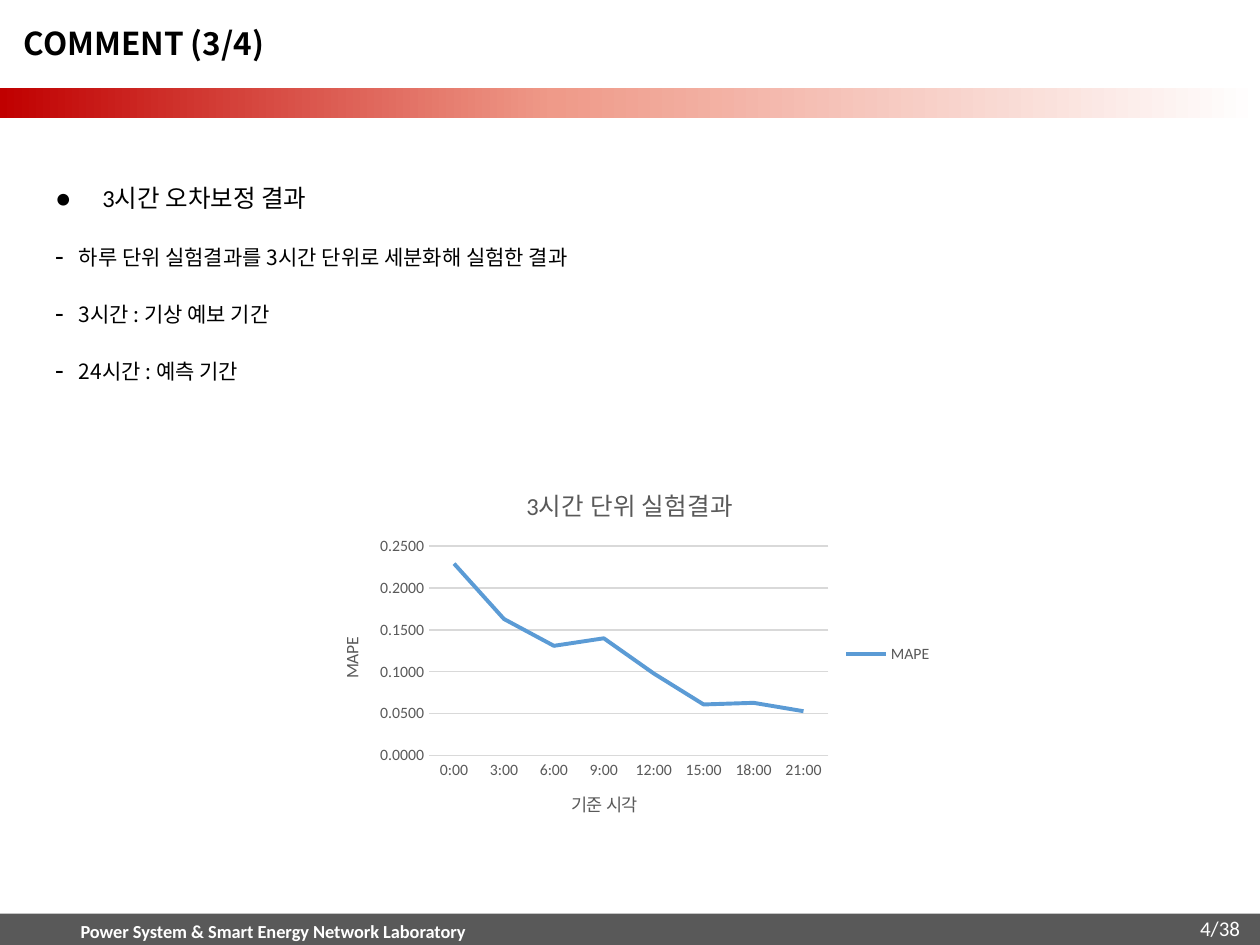
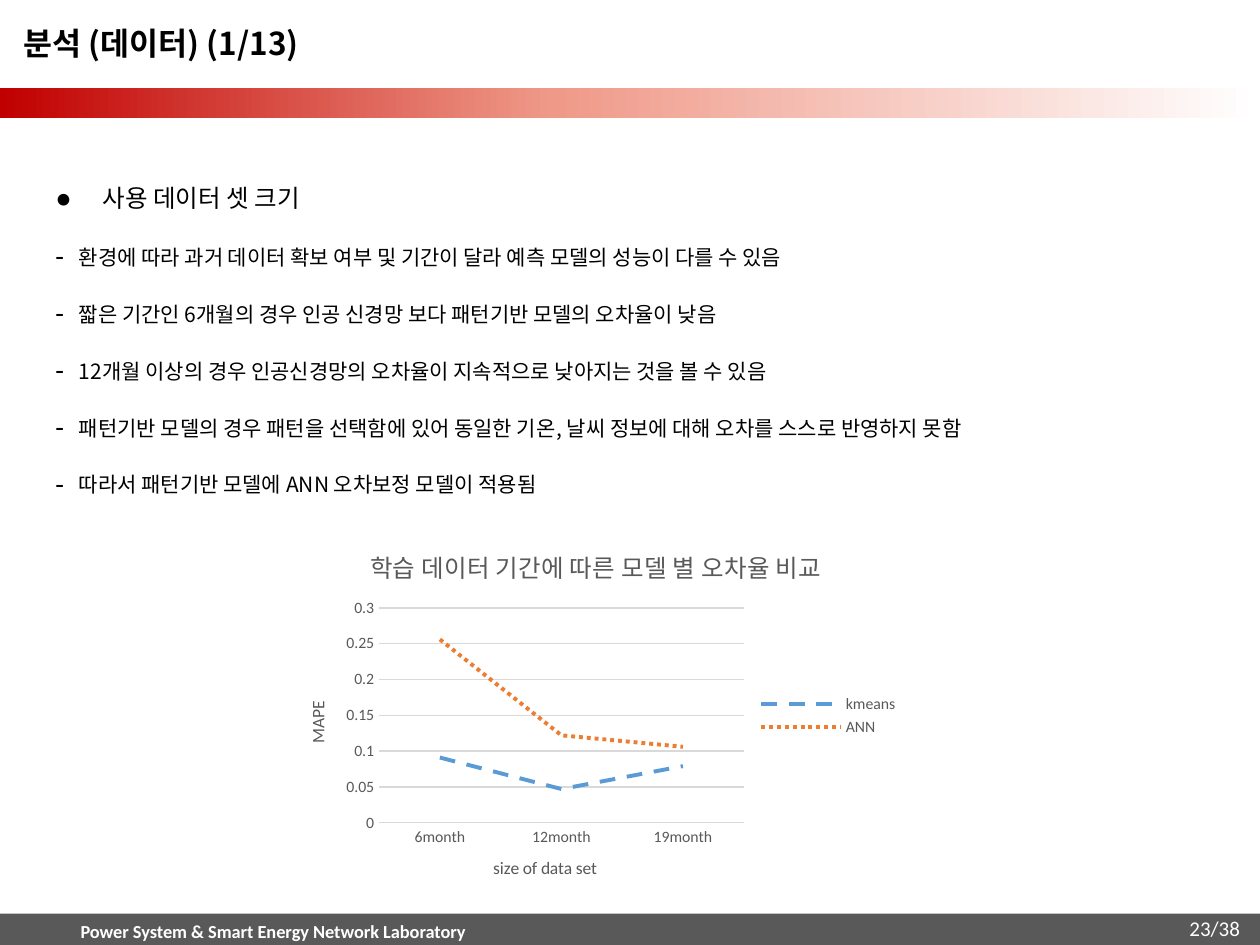
from pptx import Presentation
from pptx.chart.data import CategoryChartData
from pptx.dml.color import RGBColor
from pptx.enum.chart import XL_CHART_TYPE, XL_LEGEND_POSITION, XL_TICK_MARK
from pptx.enum.dml import MSO_LINE
from pptx.enum.shapes import MSO_SHAPE
from pptx.enum.text import MSO_ANCHOR, PP_ALIGN
from pptx.oxml import parse_xml
from pptx.oxml.ns import nsdecls, qn
from pptx.util import Pt

BLACK = RGBColor(0x00, 0x00, 0x00)
WHITE = RGBColor(0xFF, 0xFF, 0xFF)
GRAY = RGBColor(0x59, 0x59, 0x59)
GRID = RGBColor(0xD9, 0xD9, 0xD9)
RED = RGBColor(0xC0, 0x00, 0x00)
SALMON = RGBColor(0xEF, 0x9A, 0x89)
BLUE = RGBColor(0x5B, 0x9B, 0xD5)
ORANGE = RGBColor(0xED, 0x7D, 0x31)
LATIN = "Calibri"
KOREAN = "Noto Sans CJK KR"
LAB = "Power System & Smart Energy Network Laboratory"
PAGES = 38
TITLE_BOX = (8.6, 14.4, 342, 23)
BAND_BOX = (0, 50.4, 720, 16.8)
FOOTER_BOX = (0, 522, 720, 18)


def pts(*lengths):
    return [Pt(n) for n in lengths]


def style_font(font, size, color, name=LATIN, bold=False):
    font.size = Pt(size)
    font.color.rgb = color
    font.name = name
    font.bold = bold


def style_paragraph(p, size, color, name=LATIN, bold=False):
    for r in p.runs:
        style_font(r.font, size, color, name, bold)
        ea = r.font._element.makeelement(qn("a:ea"), {"typeface": KOREAN})
        r.font._element.find(qn("a:latin")).addnext(ea)


def set_frame(tf, anchor, dx, dy):
    tf.word_wrap = True
    tf.vertical_anchor = anchor
    tf.margin_left = tf.margin_right = Pt(dx)
    tf.margin_top = tf.margin_bottom = Pt(dy)


def add_rect(s, box):
    sp = s.shapes.add_shape(MSO_SHAPE.RECTANGLE, *pts(*box))
    sp.shadow.inherit = False
    sp.line.fill.background()
    return sp


def add_band(s, box):
    sp = add_rect(s, box)
    sp.fill.background()
    stops = "".join(
        f'<a:gs pos="{pos * 1000}"><a:srgbClr val="{color}"/></a:gs>'
        for pos, color in ((0, RED), (44, SALMON), (100, WHITE)))
    grad = parse_xml(f'<a:gradFill {nsdecls("a")} rotWithShape="1"><a:gsLst>{stops}'
                     '</a:gsLst><a:lin ang="0" scaled="0"/></a:gradFill>')
    spPr = sp._element.spPr
    spPr.replace(spPr.find(qn("a:noFill")), grad)


def add_footer(s, box, page):
    x, y, w, h = box
    bar = add_rect(s, box)
    bar.fill.solid()
    bar.fill.fore_color.rgb = GRAY
    labels = ((LAB, x - 5.8, 324, 10.5, True, PP_ALIGN.CENTER, 2, 1.6),
              (f"{page}/{PAGES}", x + w - 166.3, 162, 12, False, PP_ALIGN.RIGHT, 7.2, 0))
    for text, left, width, size, bold, align, inset, drop in labels:
        tf = s.shapes.add_textbox(*pts(left, y + drop, width, h - 1)).text_frame
        set_frame(tf, MSO_ANCHOR.MIDDLE, inset, 0)
        tf.text = text
        p = tf.paragraphs[0]
        p.alignment = align
        style_paragraph(p, size, WHITE, bold=bold)


def add_title(s, box, text):
    sp = s.shapes.title
    sp.left, sp.top, sp.width, sp.height = pts(*box)
    set_frame(sp.text_frame, MSO_ANCHOR.MIDDLE, 5, 3)
    sp.text_frame.text = text
    p = sp.text_frame.paragraphs[0]
    p.alignment = PP_ALIGN.LEFT
    p.line_spacing = 0.9
    style_paragraph(p, 18, BLACK, KOREAN, True)


def set_bullet(p, char, indent):
    pPr = p._p.get_or_add_pPr()
    pPr.set("marL", str(Pt(indent)))
    pPr.set("indent", str(-Pt(indent)))
    for tag, attr, value in (("buSzPct", "val", "135000"),
                             ("buFont", "typeface", LATIN),
                             ("buChar", "char", char)):
        pPr.append(pPr.makeelement(qn(f"a:{tag}"), {attr: value}))


def add_bullets(s, box, heading, items):
    tf = s.shapes.add_textbox(*pts(*box)).text_frame
    set_frame(tf, MSO_ANCHOR.TOP, 5, 3)
    tf.text = "\n".join([heading, *items])
    for i, p in enumerate(tf.paragraphs):
        p.space_before = Pt(18)
        p.line_spacing = Pt(14.5 if i else 17)
        set_bullet(p, "-" if i else "•", 13.5 if i else 27)
        style_paragraph(p, 12 if i else 14, BLACK, KOREAN if i else LATIN)


def set_chart_title(owner, text, size):
    tf = (owner.chart_title if hasattr(owner, "chart_title") else owner.axis_title).text_frame
    tf.text = text
    style_paragraph(tf.paragraphs[0], size, GRAY)


def add_line_chart(s, box, title, x_title, categories, series, number_format):
    data = CategoryChartData()
    data.categories = categories
    for name, values, color, dash in series:
        data.add_series(name, values)
    chart = s.shapes.add_chart(XL_CHART_TYPE.LINE, *pts(*box), data).chart
    style_font(chart.font, 10, BLACK)
    set_chart_title(chart, title, 14)
    chart.chart_title.include_in_layout = False
    chart.has_legend = True
    chart.legend.position = XL_LEGEND_POSITION.RIGHT
    chart.legend.include_in_layout = False
    style_font(chart.legend.font, 9, GRAY)

    cat, val = chart.category_axis, chart.value_axis
    for axis, text in ((cat, x_title), (val, "MAPE")):
        set_chart_title(axis, text, 10)
        style_font(axis.tick_labels.font, 9, GRAY)
        axis.major_tick_mark = axis.minor_tick_mark = XL_TICK_MARK.NONE
    val.has_major_gridlines = True
    val.tick_labels.number_format = number_format
    val.tick_labels.number_format_is_linked = False
    for line in (cat.format.line, val.major_gridlines.format.line):
        line.color.rgb = GRID
        line.width = Pt(0.75)
    val.format.line.fill.background()

    chart.plots[0].vary_by_categories = False
    for ser, (name, values, color, dash) in zip(chart.plots[0].series, series):
        ser.smooth = False
        ser.format.line.color.rgb = color
        ser.format.line.width = Pt(2.25)
        ser.format.line.dash_style = dash


def add_report_slide(prs, page, title):
    s = prs.slides.add_slide(prs.slide_layouts[5])
    add_band(s, BAND_BOX)
    add_footer(s, FOOTER_BOX, page)
    add_title(s, TITLE_BOX, title)
    return s


def main():
    prs = Presentation()
    prs.slide_width, prs.slide_height = pts(720, 540)

    s = add_report_slide(prs, 4, "COMMENT (3/4)")
    add_bullets(s, (26.6, 101.5, 689, 100), "3시간 오차보정 결과", [
        "하루 단위 실험결과를 3시간 단위로 세분화해 실험한 결과",
        "3시간 : 기상 예보 기간",
        "24시간 : 예측 기간"])
    add_line_chart(
        s, (180, 265.7, 360, 216), "3시간 단위 실험결과", "기준 시각",
        [f"{hour}:00" for hour in range(0, 24, 3)],
        [("MAPE", (0.229, 0.163, 0.131, 0.14, 0.098, 0.061, 0.063, 0.053),
          BLUE, MSO_LINE.SOLID)], "0.0000")

    s = add_report_slide(prs, 23, "분석 (데이터) (1/13)")
    add_bullets(s, (26.6, 101.5, 627, 356), "사용 데이터 셋 크기", [
        "환경에 따라 과거 데이터 확보 여부 및 기간이 달라 예측 모델의 성능이 다를 수 있음",
        "짧은 기간인 6개월의 경우 인공 신경망 보다 패턴기반 모델의 오차율이 낮음",
        "12개월 이상의 경우 인공신경망의 오차율이 지속적으로 낮아지는 것을 볼 수 있음",
        "패턴기반 모델의 경우 패턴을 선택함에 있어 동일한 기온, 날씨 정보에 대해 오차를 스스로 반영하지 못함",
        "따라서 패턴기반 모델에 ANN 오차보정 모델이 적용됨"])
    add_line_chart(
        s, (160.6, 301, 360, 216), "학습 데이터 기간에 따른 모델 별 오차율 비교",
        "size of data set", [f"{months}month" for months in (6, 12, 19)],
        [("kmeans", (0.091, 0.047, 0.079), BLUE, MSO_LINE.DASH),
         ("ANN", (0.256, 0.122, 0.106), ORANGE, MSO_LINE.ROUND_DOT)], "General")

    prs.save("out.pptx")


if __name__ == "__main__":
    main()
